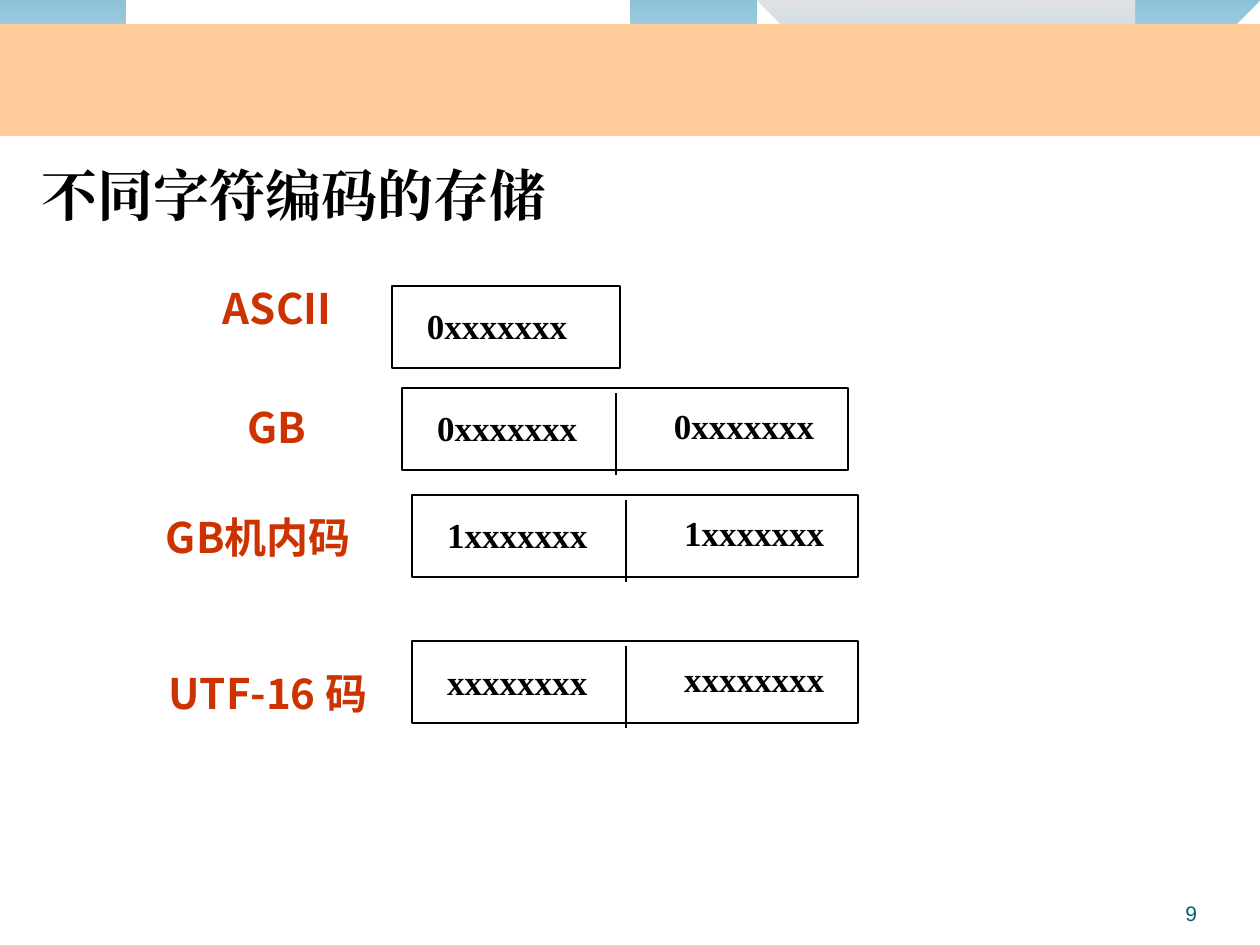
from lxml import etree
from pptx import Presentation
from pptx.dml.color import RGBColor
from pptx.enum.shapes import MSO_CONNECTOR, MSO_SHAPE
from pptx.enum.text import MSO_ANCHOR, MSO_AUTO_SIZE, PP_ALIGN
from pptx.oxml.ns import qn
from pptx.util import Inches, Pt

RECTANGLE = MSO_SHAPE.RECTANGLE
STRAIGHT = MSO_CONNECTOR.STRAIGHT
LEFT, CENTER, RIGHT = PP_ALIGN.LEFT, PP_ALIGN.CENTER, PP_ALIGN.RIGHT
TOP, BOTTOM = MSO_ANCHOR.TOP, MSO_ANCHOR.BOTTOM
NO_FIT = MSO_AUTO_SIZE.NONE

TITLE_ONLY = 5
COLUMNS, ROWS = 10, 7.5
CURVE_STEPS = 16
COLORS = {
    "ink": "000000", "label": "CC3300", "band": "FFCC99", "number": "045C75",
    "deep": "0079AF", "mist": "E7E7E7", "grey": "BCBCBC", "sky": "009BE5",
}
FONTS = {"title": "TeX Gyre Pagella", "label": "Noto Sans CJK SC",
         "code": "Times New Roman", "number": "Arial"}

# A pair is a straight step; six numbers are a cubic curve.
BLUE_WAVE = [
    (0, -0.01), (4.4, -0.01), (4.76, 0.17, 6.64, 0.63, 7.58, 0.63),
    (8.53, 0.63, 9.58, 0.26, 10, 0.09), (10.01, 0.36),
    (9.83, 0.44, 8.7, 0.76, 7.46, 0.75), (6.22, 0.75, 3.82, 0.28, 2.57, 0.34),
    (1.29, 0.35, 0.46, 0.83, -0.01, 1.13),
]
GREY_WAVE = [
    (4.79, -0.01), (5.09, 0.11, 6.82, 0.62, 7.69, 0.65),
    (8.56, 0.69, 9.61, 0.32, 10, 0.21), (10, 0),
]
# Text, left, top, width, height
LABELS = [
    ("ASCII", 1.61, 2.19, 1.18, 0.5),
    ("GB", 1.61, 3.14, 1.18, 0.5),
    ("GB机内码", 0.91, 4.01, 2.28, 0.5),
    ("UTF-16 码", 1.22, 5.25, 1.81, 0.9),
]
# Byte pattern, left, top of each two-byte code
TWO_BYTE_CODES = [("0xxxxxxx", 3.19, 3.08), ("1xxxxxxx", 3.27, 3.93),
                  ("xxxxxxxx", 3.27, 5.09)]


def rgb(name):
    return RGBColor.from_string(COLORS[name])


def flatten(steps):
    """Turn straight and cubic steps into a list of points."""
    points = [steps[0]]
    for step in steps[1:]:
        if len(step) == 2:
            points.append(step)
            continue
        start, first, second, end = points[-1], step[:2], step[2:4], step[4:]
        for i in range(1, CURVE_STEPS + 1):
            t = i / CURVE_STEPS
            u = 1 - t
            points.append(tuple(
                u**3 * a + 3 * u * u * t * b + 3 * u * t * t * c + t**3 * d
                for a, b, c, d in zip(start, first, second, end)))
    return points


class EncodingSlide:
    def __init__(self, deck):
        self.column = deck.slide_width / COLUMNS
        self.row = deck.slide_height / ROWS
        self.slide = deck.slides.add_slide(deck.slide_layouts[TITLE_ONLY])
        self.shapes = self.slide.shapes

    def cells(self, x, y, w, h):
        return (round(x * self.column), round(y * self.row),
                round(w * self.column), round(h * self.row))

    def fill_text(self, frame, text, font, size, color, align, anchor=TOP, bold=True):
        frame.word_wrap = True
        frame.auto_size = NO_FIT
        frame.vertical_anchor = anchor
        frame.text = text
        paragraph = frame.paragraphs[0]
        paragraph.alignment = align
        paragraph.space_before = Pt(0)
        style = paragraph.font
        style.size, style.bold = Pt(size), bold
        style.color.rgb = rgb(color)
        style.name = FONTS[font]
        east_asian = etree.SubElement(style._element, qn("a:ea"))
        east_asian.set("typeface", FONTS[font])

    def title(self, text, *place):
        heading = self.shapes.title
        heading.left, heading.top, heading.width, heading.height = self.cells(*place)
        self.fill_text(heading.text_frame, text, "title", 32, "ink", LEFT)

    def text(self, shapes, text, place, *style):
        frame = shapes.add_textbox(*self.cells(*place)).text_frame
        self.fill_text(frame, text, *style)
        return frame

    def wave(self, steps, stops):
        """Draw a see-through outline; stops hold colour and opacity, downwards."""
        points = flatten(steps)
        builder = self.shapes.build_freeform(*points[0], scale=(self.column, self.row))
        builder.add_line_segments(points[1:], close=True)
        wave = builder.convert_to_shape()
        wave.shadow.inherit = False
        wave.line.fill.background()
        wave.fill.gradient()
        wave.fill.gradient_angle = 270
        for stop, (color, _) in zip(wave.fill.gradient_stops, stops):
            stop.color.rgb = rgb(color)
        for tint, (_, opacity) in zip(wave._element.spPr.iter(qn("a:srgbClr")), stops):
            etree.SubElement(tint, qn("a:alpha")).set("val", str(opacity * 1000))

    def band(self, *place):
        band = self.shapes.add_shape(RECTANGLE, *self.cells(*place))
        band.shadow.inherit = False
        band.fill.solid()
        band.fill.fore_color.rgb = rgb("band")
        band.line.fill.background()

    def frame(self, shapes, *place):
        frame = shapes.add_shape(RECTANGLE, *self.cells(*place))
        frame.shadow.inherit = False
        frame.fill.background()
        frame.line.color.rgb = rgb("ink")
        frame.line.width = Pt(1)

    def divider(self, shapes, x, top, bottom):
        ends = self.cells(x, top, x, bottom)
        divider = shapes.add_connector(STRAIGHT, *ends)
        divider.line.color.rgb = rgb("ink")
        divider.line.width = Pt(1)
        etree.SubElement(divider._element.spPr, qn("a:effectLst"))

    def byte(self, shapes, pattern, x, y, width):
        self.text(shapes, pattern, (x, y, width, 0.43), "code", 20, "ink", CENTER)

    def one_byte(self, pattern, x, y):
        self.frame(self.shapes, x, y, 1.81, 0.65)
        self.byte(self.shapes, pattern, x + 0.08, y + 0.1, 1.51)

    def two_bytes(self, pattern, x, y):
        group = self.shapes.add_group_shape().shapes
        self.frame(group, x, y, 3.54, 0.65)
        self.divider(group, x + 1.7, y + 0.04, y + 0.69)
        self.byte(group, pattern, x + 0.08, y + 0.1, 1.51)
        self.byte(group, pattern, x + 1.97, y + 0.08, 1.49)

    def label(self, text, *place):
        self.text(self.shapes, text, place, "label", 24, "label", CENTER)

    def page_number(self, number, *place):
        frame = self.text(self.shapes, number, place,
                          "number", 12, "number", RIGHT, BOTTOM, False)
        frame.margin_left = frame.margin_right = 0
        frame.margin_top = frame.margin_bottom = 0


def main():
    deck = Presentation()
    deck.slide_width, deck.slide_height = Inches(10), Inches(7.5)
    page = EncodingSlide(deck)
    page.wave(BLUE_WAVE, [("deep", 45), ("mist", 55)])
    page.wave(GREY_WAVE, [("grey", 45), ("sky", 30)])
    page.band(0, 0.19, 10, 0.89)
    page.page_number("9", 8.67, 6.95, 0.83, 0.4)
    page.title("不同字符编码的存储", 0.23, 1.22, 9.25, 6.14)
    page.one_byte("0xxxxxxx", 3.11, 2.27)
    for code in TWO_BYTE_CODES:
        page.two_bytes(*code)
    for label in LABELS:
        page.label(*label)
    deck.save("out.pptx")


if __name__ == "__main__":
    main()
